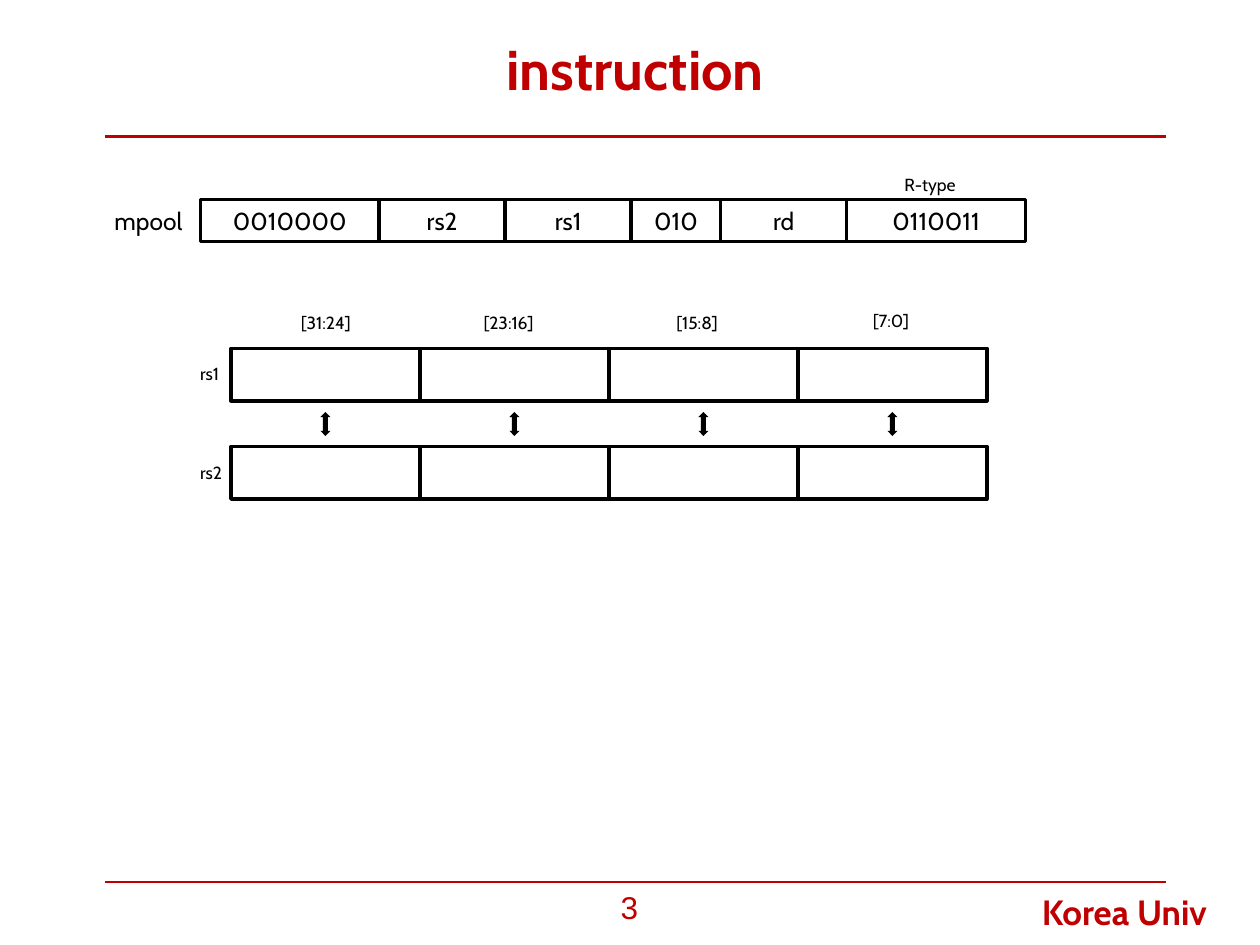
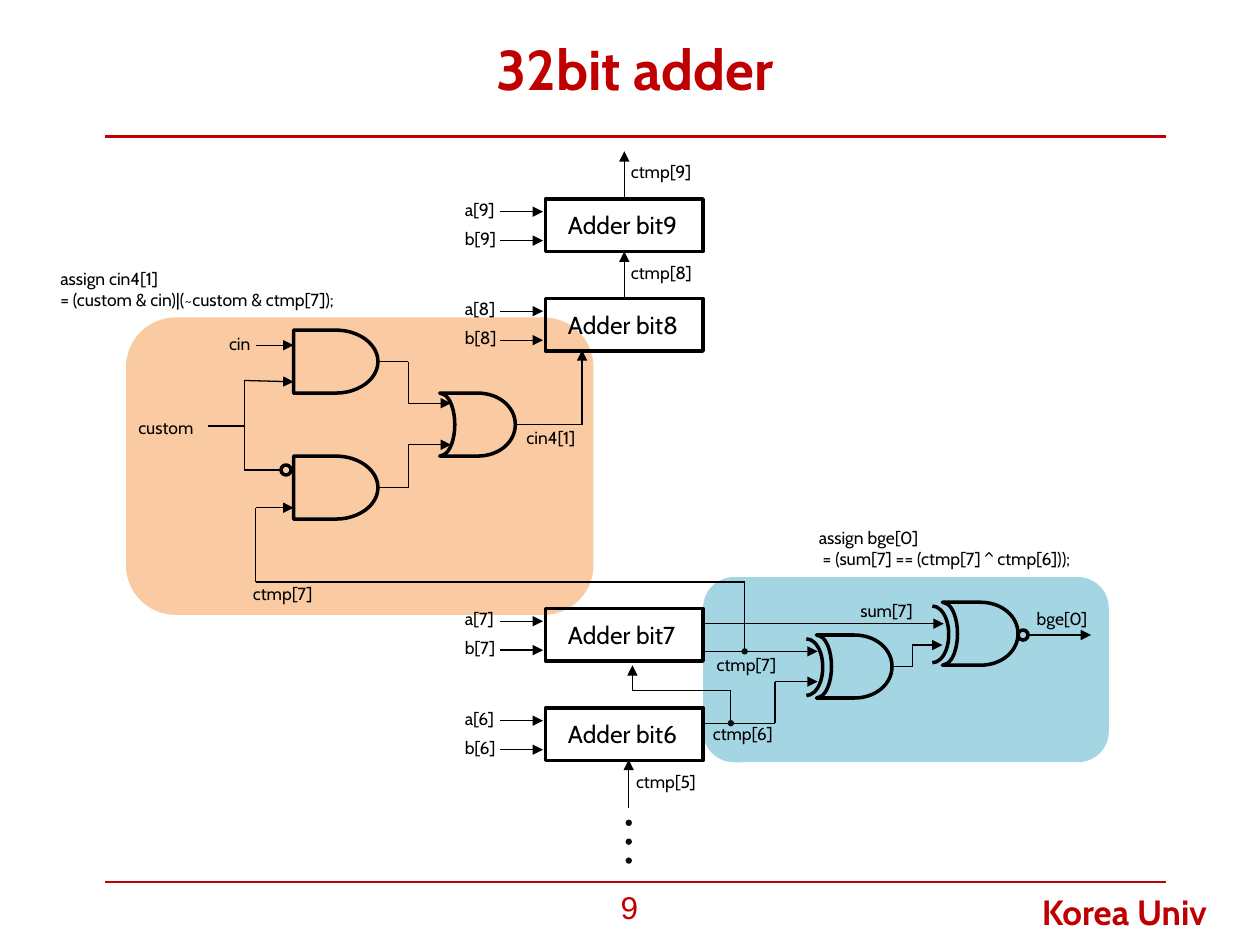
from dataclasses import dataclass
from itertools import accumulate, pairwise

from lxml.etree import SubElement
from pptx import Presentation
from pptx.dml.color import RGBColor
from pptx.enum.shapes import MSO_CONNECTOR, MSO_SHAPE as SHAPE
from pptx.enum.text import MSO_ANCHOR as ANCHOR, PP_ALIGN as ALIGN
from pptx.oxml.ns import qn
from pptx.util import Emu, Inches, Pt


@dataclass(frozen=True)
class Theme:
    font: str = "Cabin"
    number_font: str = "Arial"
    red: str = "C00000"
    black: str = "000000"
    dot: str = "0D0D0D"
    white: str = "FFFFFF"
    orange: str = "F79646"
    blue: str = "4BACC6"
    title: int = 32
    brand: int = 20
    number: int = 18
    body: int = 14
    label: int = 10
    rule: float = 1.5
    outline: float = 2
    wire: float = 0.75


THEME = Theme()

# The slide is a grid of 10 columns by 7.5 rows of square cells
WIDTH, HEIGHT = Inches(10), Inches(7.5)
CELL = WIDTH / 10
LEFT, RIGHT = 10 / 12, 9.25
HEAD_RULE, FOOT_RULE = 13 / 12, 7
FIELD_TOP, FIELD_HEIGHT = 19 / 12, 4 / 12
BOX_HEIGHT = 5 / 12

# Adder boxes and logic gates
ADDER_LEFT, ADDER_WIDTH = 4.33, 1.25
GATE_HEIGHT, BUBBLE, DOT = 0.5, 0.08, 0.05

# Outline of an OR gate; each curve takes three points from its start index
OR_POINTS = ((0.3, 0), (0.47, 0), (0.6, 0.11), (0.6, 0.25),
             (0.6, 0.39), (0.47, 0.5), (0.3, 0.5), (0, 0.5),
             (0.03, 0.49), (0.08, 0.47), (0.12, 0.37), (0.12, 0.25),
             (0.12, 0.13), (0.08, 0.03), (0.03, 0.01))
OR_CURVES = (1, 4, 9, 12)


def cells(*lengths):
    return [Emu(round(length * CELL)) for length in lengths]


def colour(code):
    return RGBColor.from_string(code)


# Text
def style_text(frame, size, code=THEME.black, font=THEME.font, bold=False,
               align=ALIGN.LEFT):
    for paragraph in frame.paragraphs:
        paragraph.alignment = align
        for run in paragraph.runs:
            run.font.name, run.font.size, run.font.bold = font, Pt(size), bold
            run.font.color.rgb = colour(code)


def add_text(page, text, area, size=THEME.label, wrap=True, **style):
    box = page.shapes.add_textbox(*cells(*area))
    frame = box.text_frame
    frame.word_wrap = wrap
    frame.text = text
    style_text(frame, size, **style)


def add_label(page, text, left, top, width=0.68):
    add_text(page, text, (left, top, width, 0.23))


# Shapes
def paint(shape, fill=None, line=None):
    shape.shadow.inherit = False
    if fill:
        shape.fill.solid()
        shape.fill.fore_color.rgb = colour(fill)
    else:
        shape.fill.background()
    if line:
        shape.line.color.rgb = colour(line)
        shape.line.width = Pt(THEME.outline)
    else:
        shape.line.fill.background()
    return shape


def add_shape(page, kind, area, fill=None, line=None):
    return paint(page.shapes.add_shape(kind, *cells(*area)), fill, line)


def add_box(page, area, fill=None):
    return add_shape(page, SHAPE.RECTANGLE, area, fill, THEME.black)


def add_field(page, text, area):
    frame = add_box(page, area, THEME.white).text_frame
    frame.text = text
    frame.vertical_anchor = ANCHOR.MIDDLE
    style_text(frame, THEME.body, align=ALIGN.CENTER)


def add_zone(page, area, fill):
    zone = add_shape(page, SHAPE.ROUNDED_RECTANGLE, area, fill)
    tint = zone.fill._xPr.find(".//" + qn("a:srgbClr"))
    SubElement(tint, qn("a:alpha"), val="50000")


def add_dot(page, x, y):
    add_shape(page, SHAPE.OVAL, (x - DOT / 2, y - DOT / 2, DOT, DOT), THEME.dot)


# Lines
def add_line(page, start, end, code=THEME.black, width=THEME.wire, arrow=False):
    line = page.shapes.add_connector(MSO_CONNECTOR.STRAIGHT, *cells(*start, *end))
    line.line.color.rgb = colour(code)
    line.line.width = Pt(width)
    if arrow:
        SubElement(line.line._get_or_add_ln(), qn("a:tailEnd"), type="triangle")
    SubElement(line._element.spPr, qn("a:effectLst"))
    return line


def add_wire(page, *points, arrow=True):
    segments = list(pairwise(points))
    for index, (start, end) in enumerate(segments, 1):
        add_line(page, start, end, arrow=arrow and index == len(segments))


# Logic gates
def add_and_gate(page, left, top):
    add_shape(page, SHAPE.FLOWCHART_DELAY, (left, top, 0.67, GATE_HEIGHT),
              line=THEME.black)


def add_or_gate(page, left, top):
    builder = page.shapes.build_freeform(*cells(left, top), scale=1.0)
    builder.add_line_segments([cells(left + x, top + y) for x, y in OR_POINTS])
    gate = paint(builder.convert_to_shape(), line=THEME.black)
    # Turn the control points into curves
    outline = gate._element.find(".//" + qn("a:path"))
    lines = outline.findall(qn("a:lnTo"))
    for start in OR_CURVES:
        curve = outline.makeelement(qn("a:cubicBezTo"))
        lines[start].addprevious(curve)
        for line in lines[start:start + 3]:
            curve.append(line[0])
            outline.remove(line)


def add_xor_gate(page, left, top):
    add_or_gate(page, left, top)
    bracket = add_shape(page, SHAPE.RIGHT_BRACKET,
                        (left - 0.08, top + 0.03, 0.13, 0.45), line=THEME.black)
    bracket.adjustments[0] = 1.7


def add_bubble(page, left, middle):
    add_shape(page, SHAPE.FLOWCHART_CONNECTOR,
              (left, middle - BUBBLE / 2, BUBBLE, BUBBLE), line=THEME.black)


def add_adder(page, bit, top):
    box = add_box(page, (ADDER_LEFT, top, ADDER_WIDTH, BOX_HEIGHT))
    add_text(page, f"Adder bit{bit}", (ADDER_LEFT + 0.08, top + 0.04, 1.17, 0.33),
             THEME.body)
    for name, drop in (("a", 0.1), ("b", 0.33)):
        add_wire(page, (3.97, top + drop), (4.31, top + drop))
        add_label(page, f"{name}[{bit}]", 3.59, top + drop - 0.15)
    return box


# Parts shared by all slides
def add_page(deck, title, number):
    page = deck.slides.add_slide(deck.slide_layouts[5])
    for y in (HEAD_RULE, FOOT_RULE):
        add_line(page, (LEFT, y), (RIGHT, y), THEME.red, THEME.rule)
    add_text(page, "Korea Univ", (8.17, 7.02, 1.74, 0.44), THEME.brand,
             wrap=False, code=THEME.red, bold=True)
    add_text(page, str(number), (4.12, 7, 1.75, 0.5), THEME.number,
             code=THEME.red, font=THEME.number_font, align=ALIGN.CENTER)
    head = page.shapes.title
    head.left, head.top, head.width, head.height = cells(
        LEFT, 0.08, RIGHT - LEFT, 0.92)
    head.text_frame.text = title
    head.text_frame.vertical_anchor = ANCHOR.MIDDLE
    style_text(head.text_frame, THEME.title, THEME.red, bold=True,
               align=ALIGN.CENTER)
    return page


def build_instruction(deck):
    page = add_page(deck, "instruction", 3)

    # Instruction format
    fields = ("0010000", "rs2", "rs1", "010", "rd", "0110011")
    widths = (1.42, 1, 1, 0.71, 1, 1.42)
    for text, left, width in zip(fields, accumulate(widths, initial=1.59), widths):
        add_field(page, text, (left, FIELD_TOP, width, FIELD_HEIGHT))
    add_text(page, "mpool", (0.81, FIELD_TOP, 0.81, FIELD_HEIGHT), THEME.body)
    add_label(page, "R-type", 7.08, 1.33)

    # Source registers, split into bytes
    first, byte_width = 22 / 12, 1.5
    for register, top in (("rs1", 2.765), ("rs2", 3.545)):
        for column in range(4):
            add_box(page, (first + column * byte_width, top, byte_width,
                           BOX_HEIGHT), THEME.white)
        add_label(page, register, 1.49, top + 0.07)
    bit_ranges = (("[31:24]", 2.29, 2.43), ("[23:16]", 3.74, 2.43),
                  ("[15:8]", 5.27, 2.43), ("[7:0]", 6.83, 2.41))
    for column, (text, left, top) in enumerate(bit_ranges):
        add_label(page, text, left, top)
        middle = first + (column + 0.5) * byte_width
        add_shape(page, SHAPE.UP_DOWN_ARROW, (middle - 0.04, 3.27, 0.08, 0.19),
                  THEME.black)


def build_adder(deck):
    page = add_page(deck, "32bit adder", 9)
    add_zone(page, (5.58, 4.58, 3.22, 1.47), THEME.blue)
    add_zone(page, (1, 2.52, 3.71, 2.36), THEME.orange)

    # Adder chain
    tops = {9: 1.58, 8: 2.37, 7: 4.83, 6: 5.62}
    adders = {bit: add_adder(page, bit, top) for bit, top in tops.items()}
    middle = ADDER_LEFT + ADDER_WIDTH / 2
    carry = add_line(page, (middle, 2.37), (middle, 2), arrow=True)
    carry.begin_connect(adders[8], 0)
    carry.end_connect(adders[9], 2)
    carry_out = add_line(page, (middle, 1.58), (middle, 1.2), arrow=True)
    carry_out.begin_connect(adders[9], 0)
    add_wire(page, (4.99, 6.41), (4.99, 6.03))
    for step in range(3):
        add_dot(page, 4.99, 6.53 + step * 0.15)

    # Carry selection
    add_and_gate(page, 2.33, 2.62)
    add_and_gate(page, 2.33, 3.62)
    add_bubble(page, 2.23, 3.73)
    add_or_gate(page, 3.49, 3.12)
    add_wire(page, (2.03, 2.74), (2.33, 2.74))
    add_wire(page, (1.65, 3.38), (1.94, 3.38), arrow=False)
    add_wire(page, (2.23, 3.73), (1.94, 3.73), (1.94, 3.02), (2.33, 3.03))
    for gate_out, gate_in in ((2.87, 3.2), (3.87, 3.53)):
        add_wire(page, (2.99, gate_out), (3.24, gate_out), (3.24, gate_in),
                 (3.58, gate_in))
    add_wire(page, (4.1, 3.37), (4.62, 3.37), (4.62, 2.78))
    add_wire(page, (5.91, 5.17), (5.91, 4.62), (2.03, 4.62), (2.03, 4.03),
             (2.33, 4.03))

    # Comparison result
    add_xor_gate(page, 6.48, 5.04)
    add_xor_gate(page, 7.48, 4.78)
    add_bubble(page, 8.08, 5.04)
    add_wire(page, (5.58, 4.95), (7.49, 4.95))
    add_wire(page, (5.58, 5.17), (6.49, 5.17))
    add_wire(page, (5.58, 5.74), (6.15, 5.74), (6.15, 5.41), (6.49, 5.41))
    add_wire(page, (5.8, 5.76), (5.8, 5.48), (5.02, 5.48), (5.02, 5.28))
    add_wire(page, (7.08, 5.29), (7.24, 5.29), (7.24, 5.12), (7.48, 5.12))
    add_wire(page, (8.16, 5.04), (8.66, 5.04))
    add_dot(page, 5.91, 5.17)
    add_dot(page, 5.8, 5.74)

    # Signal names and equations
    for text, left, top in (
            ("ctmp[9]", 4.91, 1.23), ("ctmp[8]", 4.91, 2.03),
            ("ctmp[5]", 4.95, 6.07), ("ctmp[7]", 1.91, 4.58),
            ("ctmp[7]", 5.59, 5.14), ("ctmp[6]", 5.56, 5.69),
            ("cin", 1.72, 2.59), ("custom", 1, 3.26), ("cin4[1]", 4.08, 3.34),
            ("sum[7]", 6.73, 4.71), ("bge[0]", 8.13, 4.78)):
        add_label(page, text, left, top, 0.76)
    add_label(page, "assign cin4[1]\n= (custom & cin)|(~custom & ctmp[7]);",
              0.38, 2.08, 3.79)
    add_label(page, "assign bge[0]\n = (sum[7] == (ctmp[7] ^ ctmp[6]));",
              6.4, 4.13, 3.5)


def main():
    deck = Presentation()
    deck.slide_width, deck.slide_height = WIDTH, HEIGHT
    build_instruction(deck)
    build_adder(deck)
    deck.save("out.pptx")


if __name__ == "__main__":
    main()
